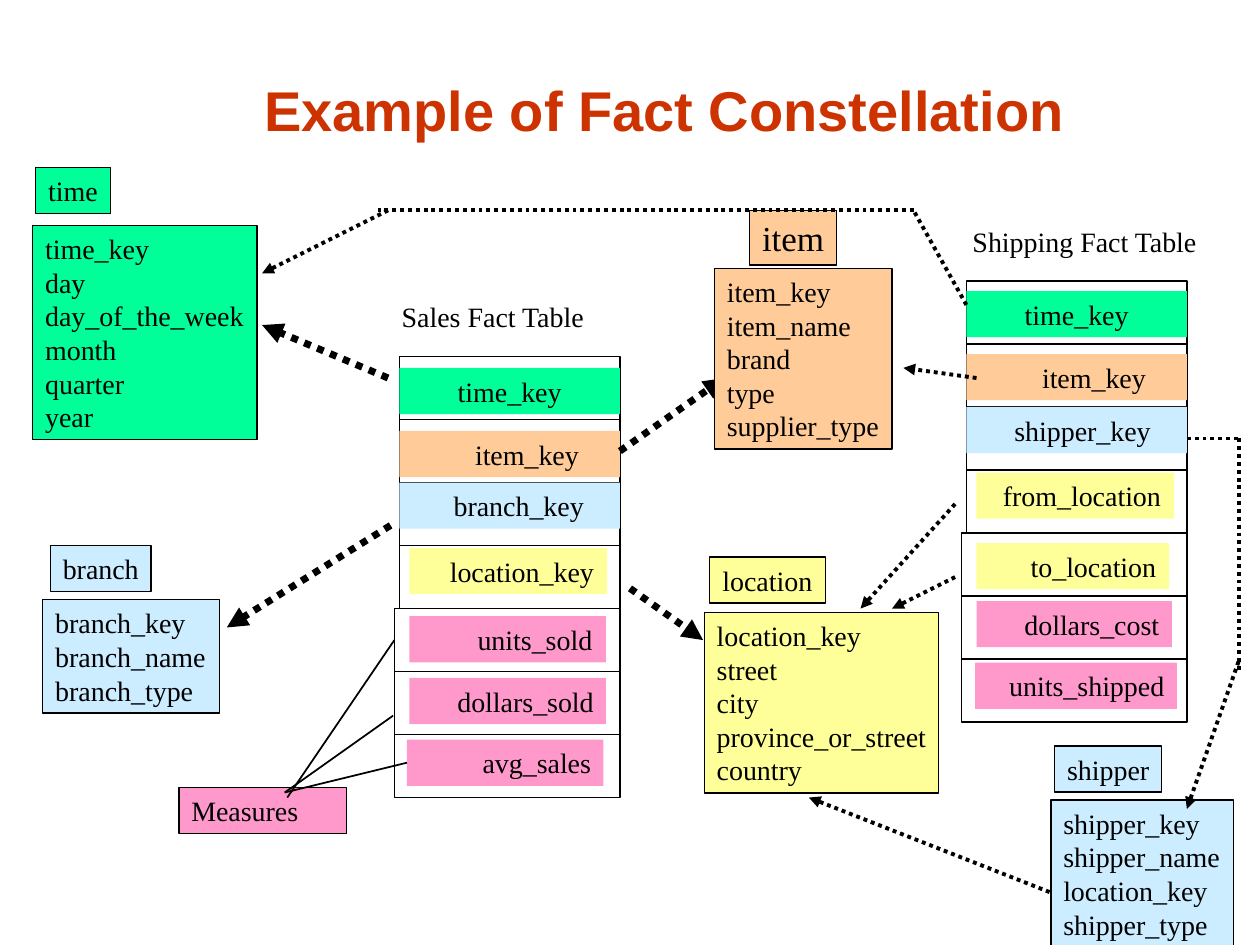
from dataclasses import dataclass

import pptx
import pptx.dml.color
import pptx.enum.dml
import pptx.enum.shapes
import pptx.enum.text
import pptx.oxml
import pptx.oxml.ns
import pptx.util
from pptx.util import Inches

RGBColor = pptx.dml.color.RGBColor
PP_ALIGN = pptx.enum.text.PP_ALIGN
ANCHOR = pptx.enum.text.MSO_ANCHOR
RECTANGLE = pptx.enum.shapes.MSO_SHAPE.RECTANGLE
STRAIGHT = pptx.enum.shapes.MSO_CONNECTOR.STRAIGHT
DOTTED = pptx.enum.dml.MSO_LINE.ROUND_DOT

BLACK = RGBColor(0x00, 0x00, 0x00)
RED = RGBColor(0xCC, 0x33, 0x00)
GREEN = RGBColor(0x00, 0xFF, 0x99)
ORANGE = RGBColor(0xFF, 0xCC, 0x99)
BLUE = RGBColor(0xCC, 0xEC, 0xFF)
YELLOW = RGBColor(0xFF, 0xFF, 0x99)
PINK = RGBColor(0xFF, 0x99, 0xCC)

TEXT_SIZE = 16
ROW_STEP = 0.5
PAD = 0.1
TOP, LEFT, BOTTOM, RIGHT = range(4)


@dataclass
class Entity:
    name: str
    fields: list[str]
    color: RGBColor
    label: tuple[float, float, float]
    body: tuple[float, float, float]
    label_size: int = TEXT_SIZE


@dataclass
class Key:
    name: str
    color: RGBColor
    dx: float
    dy: float
    width: float
    indent: float = 0


@dataclass
class FactTable:
    caption: str
    caption_box: tuple[float, float, float]
    x: float
    y: float
    keys: list[Key]


@dataclass
class Link:
    start: tuple[float, float]
    end: tuple[float, float]
    width: float = 2.25
    dotted: bool = True
    arrow: bool = True
    begin_at: tuple | None = None
    end_at: tuple | None = None


def text_height(lines: int, size: int = TEXT_SIZE) -> float:
    return PAD + lines * size * 1.2 / 72


def write(s, lines: list[str], size: int = TEXT_SIZE, font: str = "Times New Roman",
          color: RGBColor = BLACK, bold: bool = False, align=PP_ALIGN.LEFT,
          wrap: bool = False, anchor=ANCHOR.TOP) -> None:
    tf = s.text_frame
    tf.word_wrap = wrap
    tf.vertical_anchor = anchor
    for i, line in enumerate(lines):
        p = tf.paragraphs[0] if i == 0 else tf.add_paragraph()
        p.alignment = align
        r = p.add_run()
        r.text = line
        r.font.size = pptx.util.Pt(size)
        r.font.name = font
        r.font.bold = bold
        r.font.color.rgb = color


def add_box(sp, x: float, y: float, w: float, h: float,
            fill: RGBColor | None = None, border: float = 0):
    s = sp.add_shape(RECTANGLE, Inches(x), Inches(y), Inches(w), Inches(h))
    s.shadow.inherit = False
    if fill is None:
        s.fill.background()
    else:
        s.fill.solid()
        s.fill.fore_color.rgb = fill
    if border:
        s.line.color.rgb = BLACK
        s.line.width = pptx.util.Pt(border)
    else:
        s.line.fill.background()
    return s


def add_caption(sp, text: str, x: float, y: float, w: float) -> None:
    s = sp.add_textbox(Inches(x), Inches(y), Inches(w), Inches(text_height(1)))
    write(s, [text])


def add_entity(sp, e: Entity) -> None:
    body = add_box(sp, *e.body, text_height(len(e.fields)), e.color, 0.75)
    write(body, e.fields)
    label = add_box(sp, *e.label, text_height(1, e.label_size), e.color, 0.75)
    write(label, [e.name], e.label_size, align=PP_ALIGN.CENTER)


def add_fact_table(sp, t: FactTable) -> tuple[list, list]:
    add_caption(sp, t.caption, *t.caption_box)
    frames, keys = [], []
    for i, key in enumerate(t.keys):
        shift = 0.04 if i >= 4 else 0
        frames.append(add_box(sp, t.x - shift, t.y + i * ROW_STEP, 1.75 + shift, ROW_STEP, border=1))
        s = add_box(sp, t.x + key.dx, t.y + key.dy, key.width, text_height(1), key.color)
        s.text_frame.margin_left = Inches(key.indent)
        s.text_frame.margin_right = 0
        write(s, [key.name], wrap=True,
              align=PP_ALIGN.LEFT if key.indent else PP_ALIGN.CENTER)
        keys.append(s)
    return frames, keys


def add_link(sp, link: Link) -> None:
    c = sp.add_connector(STRAIGHT, *(Inches(v) for v in link.start + link.end))
    if link.begin_at:
        c.begin_connect(*link.begin_at)
    if link.end_at:
        c.end_connect(*link.end_at)
    c.line.color.rgb = BLACK
    c.line.width = pptx.util.Pt(link.width)
    if link.dotted:
        c.line.dash_style = DOTTED
    if link.arrow:
        tail = pptx.oxml.parse_xml(f'<a:tailEnd {pptx.oxml.ns.nsdecls("a")} type="triangle"/>')
        c.line._get_or_add_ln().append(tail)
    c._element.spPr.append(pptx.oxml.parse_xml(f'<a:effectLst {pptx.oxml.ns.nsdecls("a")}/>'))


SALES = FactTable("Sales Fact Table", (3.09, 2.33, 1.67), 3.17, 2.83, [
    Key("time_key", GREEN, 0, 0.09, 1.75),
    Key("item_key", ORANGE, 0, 0.59, 1.75, 0.6),
    Key("branch_key", BLUE, 0, 1, 1.75, 0.43),
    Key("location_key", YELLOW, 0.08, 1.52, 1.57, 0.32),
    Key("units_sold", PINK, 0.08, 2.06, 1.56, 0.54),
    Key("dollars_sold", PINK, 0.08, 2.55, 1.56, 0.38),
    Key("avg_sales", PINK, 0.06, 3.04, 1.56, 0.6),
])
SHIPPING = FactTable("Shipping Fact Table", (7.62, 1.73, 2), 7.67, 2.23, [
    Key("time_key", GREEN, 0, 0.08, 1.75),
    Key("item_key", ORANGE, 0, 0.58, 1.75, 0.6),
    Key("shipper_key", BLUE, 0, 1, 1.75, 0.38),
    Key("from_location", YELLOW, 0.08, 1.52, 1.57, 0.21),
    Key("to_location", YELLOW, 0.08, 2.08, 1.53, 0.43),
    Key("dollars_cost", PINK, 0.08, 2.54, 1.55, 0.38),
    Key("units_shipped", PINK, 0.07, 3.03, 1.6, 0.27),
])
ENTITIES = [
    Entity("time", ["time_key", "day", "day_of_the_week", "month", "quarter", "year"],
           GREEN, (0.28, 1.33, 0.6), (0.26, 1.79, 1.78)),
    Entity("location", ["location_key", "street", "city", "province_or_street", "country"],
           YELLOW, (5.63, 4.42, 0.92), (5.59, 4.86, 1.86)),
    Entity("item", ["item_key", "item_name", "brand", "type", "supplier_type"],
           ORANGE, (5.95, 1.67, 0.69), (5.67, 2.13, 1.41), 20),
    Entity("branch", ["branch_key", "branch_name", "branch_type"],
           BLUE, (0.4, 4.33, 0.8), (0.34, 4.76, 1.4)),
    Entity("shipper", ["shipper_key", "shipper_name", "location_key", "shipper_type"],
           BLUE, (8.37, 5.92, 0.85), (8.34, 6.35, 1.45)),
]


def main() -> None:
    prs = pptx.Presentation()
    prs.slide_width, prs.slide_height = Inches(10), Inches(7.5)
    sp = prs.slides.add_slide(prs.slide_layouts[6]).shapes

    title = sp.add_textbox(Inches(1.75), Inches(0.42), Inches(7.05), Inches(0.76))
    write(title, ["Example of Fact Constellation"], 32, "Arial", RED, True,
          PP_ALIGN.CENTER, True, ANCHOR.BOTTOM)

    sales_frames, sales_keys = add_fact_table(sp, SALES)
    shipping_frames, _ = add_fact_table(sp, SHIPPING)
    measures = add_box(sp, 1.42, 6.25, 1.33, text_height(1), PINK, 0.75)
    write(measures, ["Measures"], wrap=True)

    sales_links = [
        Link((2.28, 6.33), (3.13, 5.08), 1, False, False, end_at=(sales_frames[4], LEFT)),
        Link((2.26, 6.29), (3.12, 5.68), 1, False, False),
        Link((2.26, 6.29), (3.23, 6.06), 1, False, False, end_at=(sales_keys[6], LEFT)),
        Link((3.1, 4.17), (1.8, 4.98), 4),
        Link((3.08, 3), (2.08, 2.58), 4),
        Link((5, 4.67), (5.58, 5.08), 4),
        Link((4.92, 3.58), (5.75, 3), 4, begin_at=(sales_frames[1], RIGHT)),
    ]
    shipping_links = [
        Link((7.67, 2.42), (7.25, 1.67), arrow=False),
        Link((7.25, 1.67), (3, 1.67), arrow=False),
        Link((3.08, 1.67), (2.08, 2.17)),
        Link((7.75, 3), (7.17, 2.92)),
        Link((7.58, 4), (6.83, 4.83)),
        Link((7.58, 4.58), (7.08, 4.83)),
        Link((9.42, 3.48), (9.83, 3.48), arrow=False, begin_at=(shipping_frames[2], RIGHT)),
        Link((9.83, 3.48), (9.83, 5.33), arrow=False),
        Link((9.83, 5.25), (9.42, 6.42)),
        Link((8.33, 7.08), (6.42, 6.33)),
    ]
    for link in sales_links:
        add_link(sp, link)
    for entity in ENTITIES:
        add_entity(sp, entity)
    for link in shipping_links:
        add_link(sp, link)

    prs.save("out.pptx")


if __name__ == "__main__":
    main()
